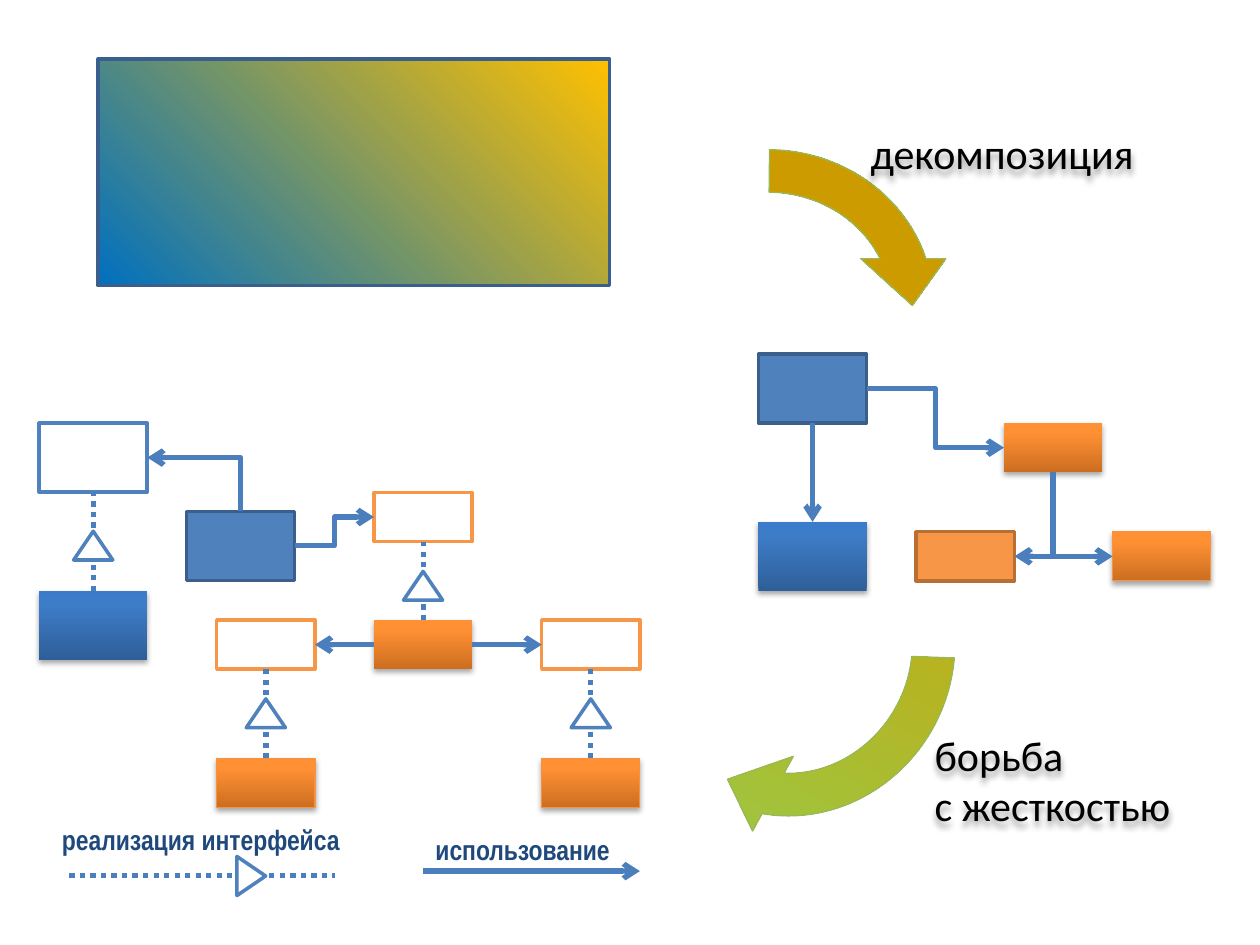
from copy import deepcopy

from lxml import etree
from pptx import Presentation
from pptx.dml.color import RGBColor
from pptx.enum import dml, shapes, text
from pptx.oxml.ns import qn
from pptx.util import Cm, Inches, Pt

BIG, SMALL = (2.18, 1.39), (1.98, 0.99)
TOP, LEFT, BOTTOM, RIGHT = range(4)
BLUE, ORANGE, WHITE = "4F81BD", "F79646", "FFFFFF"
DARK_BLUE, DARK_ORANGE, GLOSS_EDGE = "3A5F8C", "B76F34", "F69240"
GLOSSY_BLUE = [(0, "2F5F99"), (0.8, "3D7CC7"), (1, "3A7CCB")]
GLOSSY_ORANGE = [(0, "CC6E20"), (0.8, "FF9034"), (1, "FF9136")]


def rgb(value):
    return RGBColor.from_string(value)


def add_shadow(shape, blur=3.15, distance=1.81, opacity=35):
    shape.shadow.inherit = False
    effects = shape._element.spPr.find(qn("a:effectLst"))
    outer = etree.SubElement(effects, qn("a:outerShdw"), blurRad=str(Pt(blur)),
                             dist=str(Pt(distance)), dir="5400000", rotWithShape="0")
    color = etree.SubElement(outer, qn("a:srgbClr"), val="000000")
    etree.SubElement(color, qn("a:alpha"), val=str(opacity * 1000))


def paint_gradient(shape, stops, angle):
    shape.fill.gradient()
    shape.fill.gradient_angle = angle
    stop_list = shape._element.spPr.find(qn("a:gradFill")).find(qn("a:gsLst"))
    for _ in stops[2:]:
        stop_list.append(deepcopy(stop_list[0]))
    for stop, (position, color) in zip(shape.fill.gradient_stops, stops):
        stop.position = position
        stop.color.rgb = rgb(color)


def add_figure(slide, kind, x, y, size, fill, edge=None, width=2, angle=90):
    """Preset shape; fill is a hex colour or a list of gradient stops."""
    figure = slide.shapes.add_shape(kind, Cm(x), Cm(y), Cm(size[0]), Cm(size[1]))
    figure.shadow.inherit = False
    if isinstance(fill, str):
        figure.fill.solid()
        figure.fill.fore_color.rgb = rgb(fill)
    else:
        paint_gradient(figure, fill, angle)
    if edge:
        figure.line.color.rgb = rgb(edge)
        figure.line.width = Pt(width)
    else:
        figure.line.fill.background()
    return figure


def add_block(slide, x, y, size, fill, edge=None, width=2):
    block = add_figure(slide, shapes.MSO_SHAPE.RECTANGLE, x, y, size, fill, edge, width)
    if not isinstance(fill, str):
        add_shadow(block)
    return block


def add_triangle(slide, x, y):
    return add_figure(slide, shapes.MSO_SHAPE.ISOSCELES_TRIANGLE, x, y, (0.79, 0.58),
                      WHITE, BLUE)


def add_link(slide, kind, ends=(0, 0, 0, 0), dotted=False):
    link = slide.shapes.add_connector(kind, *map(Cm, ends))
    link.line.color.rgb = rgb("4B7EBC")
    link.line.width = Pt(3)
    if dotted:
        link.line.dash_style = dml.MSO_LINE.ROUND_DOT
    else:
        etree.SubElement(link.line._get_or_add_ln(), qn("a:tailEnd"), type="arrow")
    etree.SubElement(link._element.spPr, qn("a:effectLst"))
    return link


def join(slide, start, start_side, end, end_side, bent=False, dotted=False):
    kind = shapes.MSO_CONNECTOR.ELBOW if bent else shapes.MSO_CONNECTOR.STRAIGHT
    link = add_link(slide, kind, dotted=dotted)
    link.begin_connect(start, start_side)
    link.end_connect(end, end_side)
    return link


def join_by_corner(slide, start, start_side, end, end_side):
    """One bend: vertical first, then horizontal."""
    link = join(slide, start, start_side, end, end_side, bent=True)
    dx, dy = link.end_x - link.begin_x, link.end_y - link.begin_y
    center_x, center_y = link.begin_x + dx // 2, link.begin_y + dy // 2
    link.width, link.height = abs(dy), abs(dx)
    link.left, link.top = center_x - abs(dy) // 2, center_y - abs(dx) // 2
    properties = link._element.spPr
    properties.find(qn("a:prstGeom")).set("prst", "bentConnector2")
    frame = properties.find(qn("a:xfrm"))
    frame.set("rot", str((90 if dy > 0 else 270) * 60000))
    frame.set("flipH", "0")
    frame.set("flipV", "1" if (dx > 0) == (dy > 0) else "0")


def realize(slide, implementation, interface, gap=0.6):
    """Dotted line with a hollow triangle below the interface."""
    join(slide, implementation, TOP, interface, BOTTOM, dotted=True)
    center = (interface.left + interface.width / 2) / Cm(1)
    bottom = (interface.top + interface.height) / Cm(1)
    add_triangle(slide, center - 0.79 / 2, bottom + gap)


def add_caption(slide, x, y, width, height, words, size, font, color, bold=False):
    caption = slide.shapes.add_textbox(Cm(x), Cm(y), Cm(width), Cm(height))
    frame = caption.text_frame
    frame.word_wrap = False
    frame.auto_size = text.MSO_AUTO_SIZE.SHAPE_TO_FIT_TEXT
    frame.text = words
    for paragraph in frame.paragraphs:
        for run in paragraph.runs:
            run.font.size, run.font.name, run.font.bold = Pt(size), font, bold
            run.font.color.rgb = rgb(color)
    return caption


def draw_monolith(slide, x, y):
    add_figure(slide, shapes.MSO_SHAPE.RECTANGLE, x, y, (10.31, 4.57),
               [(0, "0070C0"), (1, "FFC000")], DARK_BLUE, angle=45)


def draw_decomposition(slide, x, y):
    client = add_block(slide, x, y, BIG, BLUE, DARK_BLUE)
    service = add_block(slide, x, y + 3.38, BIG, GLOSSY_BLUE)
    hub = add_block(slide, x + 4.95, y + 1.39, SMALL, GLOSSY_ORANGE)
    left_part = add_block(slide, x + 3.18, y + 3.58, SMALL, ORANGE, DARK_ORANGE)
    right_part = add_block(slide, x + 7.14, y + 3.58, SMALL, GLOSSY_ORANGE, GLOSS_EDGE, 0.75)
    join(slide, client, RIGHT, hub, LEFT, bent=True)
    join(slide, client, BOTTOM, service, TOP)
    join_by_corner(slide, hub, BOTTOM, left_part, RIGHT)
    join_by_corner(slide, hub, BOTTOM, right_part, LEFT)


def draw_loose_coupling(slide, x, y):
    client = add_block(slide, x + 2.97, y + 1.78, BIG, BLUE, DARK_BLUE)
    service = add_block(slide, x, y + 3.38, BIG, GLOSSY_BLUE)
    service_interface = add_block(slide, x, y, BIG, WHITE, BLUE)
    hub = add_block(slide, x + 6.75, y + 3.97, SMALL, GLOSSY_ORANGE)
    hub_interface = add_block(slide, x + 6.75, y + 1.4, SMALL, WHITE, ORANGE)
    join_by_corner(slide, client, TOP, service_interface, RIGHT)
    join(slide, client, RIGHT, hub_interface, LEFT, bent=True)
    realize(slide, service, service_interface, gap=0.79)
    realize(slide, hub, hub_interface)
    for offset, hub_side, part_side in ((3.58, LEFT, RIGHT), (10.13, RIGHT, LEFT)):
        part = add_block(slide, x + offset, y + 6.76, SMALL, GLOSSY_ORANGE, GLOSS_EDGE, 0.75)
        part_interface = add_block(slide, x + offset, y + 3.97, SMALL, WHITE, ORANGE)
        join(slide, hub, hub_side, part_interface, part_side)
        realize(slide, part, part_interface)


def draw_legend(slide, x, y):
    straight = shapes.MSO_CONNECTOR.STRAIGHT
    style = (16, "Arial Narrow", "1F497D", True)
    add_link(slide, straight, (x + 0.4, y + 1.19, x + 5.76, y + 1.19), dotted=True)
    add_caption(slide, x, y, 6.17, 0.94, "реализация интерфейса", *style)
    add_triangle(slide, x + 3.67, y + 0.91).rotation = 90
    add_link(slide, straight, (x + 7.53, y + 1.1, x + 11.9, y + 1.1))
    add_caption(slide, x + 7.53, y + 0.2, 4.11, 0.94, "использование", *style)


def draw_step(slide, x, y, stops, start_angle, rotation, caption_box, words):
    """Curved arrow with its caption; caption_box is relative to the arrow."""
    arrow = add_figure(slide, shapes.MSO_SHAPE.CIRCULAR_ARROW, x, y, (7.54, 7.14),
                       stops, "98B955", 0.75, angle=0)
    for index, value in enumerate((0.12, 11.42, 204.58, start_angle, 0.12)):
        arrow.adjustments[index] = value
    arrow.rotation = rotation
    dx, dy, width, height = caption_box
    caption = add_caption(slide, x + dx, y + dy, width, height, words, 24, "Calibri", "000000")
    add_shadow(caption, 4, 3, 40)


def main():
    presentation = Presentation()
    presentation.slide_width, presentation.slide_height = Inches(10), Inches(7.5)
    slide = presentation.slides.add_slide(presentation.slide_layouts[6])
    draw_monolith(slide, 1.98, 1.19)
    draw_decomposition(slide, 15.29, 7.14)
    draw_loose_coupling(slide, 0.79, 8.53)
    draw_legend(slide, 1, 16.46)
    draw_step(slide, 11.71, 2.59, [(0, "953735"), (0.47, "CC9B00")], 162.38, 0,
              (5.59, -0.15, 5.87, 1.27), "декомпозиция")
    draw_step(slide, 12.29, 9.58, [(0, "D09E00"), (1, "92D050")], 146.07, 118.6,
              (6.3, 5, 5.31, 2.31), "борьба\nс жесткостью")
    presentation.save("out.pptx")


if __name__ == "__main__":
    main()
